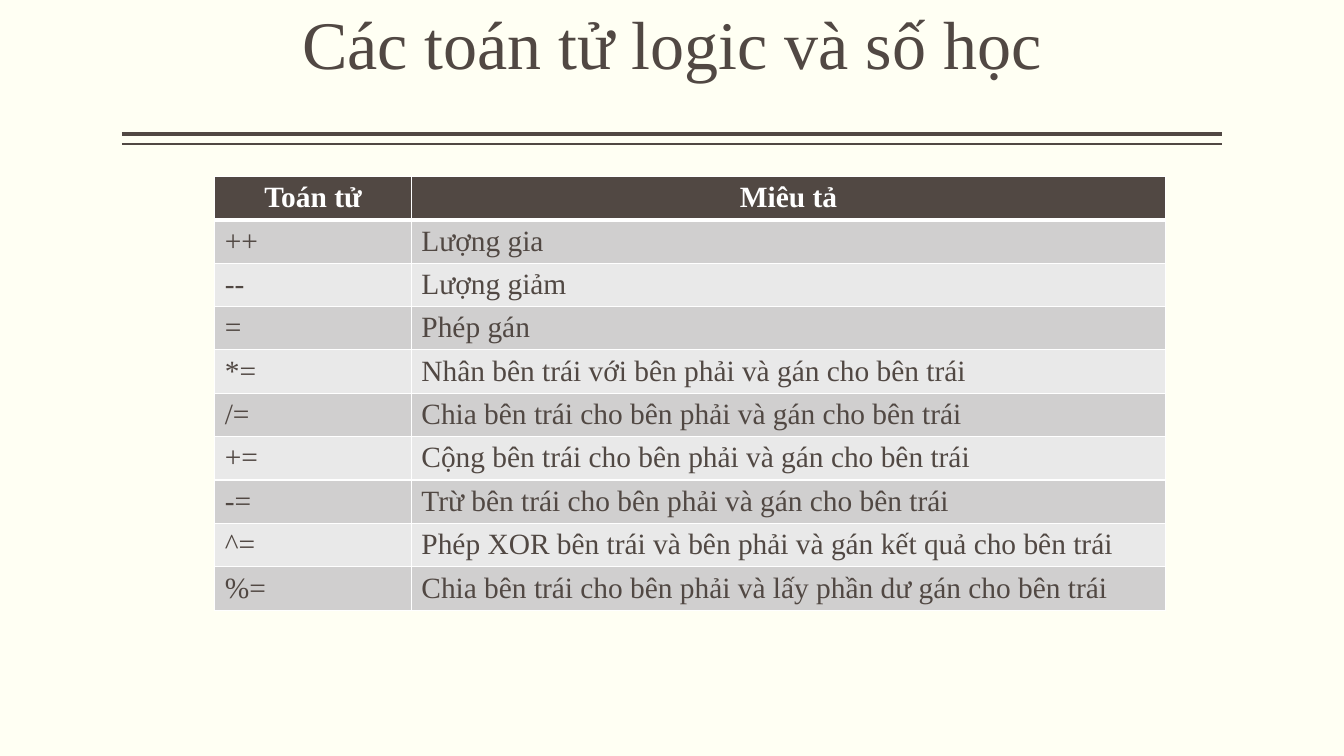
from lxml.etree import SubElement
from pptx import Presentation
from pptx.dml.color import RGBColor
from pptx.enum.shapes import MSO_CONNECTOR as CONNECTOR
from pptx.enum.text import MSO_ANCHOR as ANCHOR, PP_ALIGN as ALIGN
from pptx.oxml.ns import qn
from pptx.util import Inches, Pt

WIDTH, HEIGHT = 13.33, 7.5
MARGIN = 1.21
FONT = "Times New Roman"
BROWN, WHITE, CREAM = "514843", "FFFFFF", "FFFFF3"
BANDS = ("D0CFCF", "E9E9E9")
TABLE_LEFT, TABLE_TOP = 2.13, 1.75
COLUMN_WIDTHS = (1.95, 7.48)
ROW_HEIGHT = 4.25 / 10
OPERATORS = [
    ("Toán tử", "Miêu tả"),
    ("++", "Lượng gia"),
    ("--", "Lượng giảm"),
    ("=", "Phép gán"),
    ("*=", "Nhân bên trái với bên phải và gán cho bên trái"),
    ("/=", "Chia bên trái cho bên phải và gán cho bên trái"),
    ("+=", "Cộng bên trái cho bên phải và gán cho bên trái"),
    ("-=", "Trừ bên trái cho bên phải và gán cho bên trái"),
    ("^=", "Phép XOR bên trái và bên phải và gán kết quả cho bên trái"),
    ("%=", "Chia bên trái cho bên phải và lấy phần dư gán cho bên trái"),
]


def color(hex_code):
    return RGBColor.from_string(hex_code)


def write(paragraph, text, size, hex_code, bold=False, align=ALIGN.LEFT):
    paragraph.alignment = align
    run = paragraph.add_run()
    run.text = text
    run.font.name = FONT
    run.font.size = Pt(size)
    run.font.bold = bold
    run.font.color.rgb = color(hex_code)


def add_title(slide, text):
    title = slide.shapes.add_textbox(
        Inches(MARGIN), Inches(0.08), Inches(WIDTH - 2 * MARGIN), Inches(1.2))
    frame = title.text_frame
    frame.word_wrap = True
    frame.vertical_anchor = ANCHOR.TOP
    frame.margin_left = frame.margin_right = 0
    frame.margin_top = Inches(0.03)
    frame.paragraphs[0].line_spacing = 0.9
    write(frame.paragraphs[0], text, 48.6, BROWN, align=ALIGN.CENTER)


def add_rule(slide, y, weight):
    rule = slide.shapes.add_connector(
        CONNECTOR.STRAIGHT, Inches(MARGIN), Inches(y),
        Inches(WIDTH - MARGIN), Inches(y))
    rule.line.color.rgb = color(BROWN)
    rule.line.width = Pt(weight)
    SubElement(rule._element.spPr, qn("a:effectLst"))


def add_borders(cell, top, bottom):
    """Draw white borders; call before the fill, which must follow them in the XML."""
    properties = cell._tc.get_or_add_tcPr()
    for side, weight in (("L", 1), ("R", 1), ("T", top), ("B", bottom)):
        border = SubElement(properties, qn(f"a:ln{side}"), w=str(Pt(weight)))
        fill = SubElement(border, qn("a:solidFill"))
        SubElement(fill, qn("a:srgbClr"), val=WHITE)


def fill_cell(cell, text, row):
    header = row == 0
    add_borders(cell, top=3 if row == 1 else 1, bottom=3 if header else 1)
    cell.fill.solid()
    cell.fill.fore_color.rgb = color(BROWN if header else BANDS[(row - 1) % 2])
    cell.margin_top, cell.margin_bottom = Inches(0.05), Inches(0.03)
    write(cell.text_frame.paragraphs[0], text, 21, WHITE if header else BROWN,
          bold=header, align=ALIGN.CENTER if header else ALIGN.LEFT)


def add_operator_table(slide):
    table = slide.shapes.add_table(
        len(OPERATORS), len(COLUMN_WIDTHS), Inches(TABLE_LEFT), Inches(TABLE_TOP),
        Inches(sum(COLUMN_WIDTHS)), Inches(ROW_HEIGHT * len(OPERATORS))).table
    for column, width in zip(table.columns, COLUMN_WIDTHS):
        column.width = Inches(width)
    for row, texts in enumerate(OPERATORS):
        table.rows[row].height = Inches(ROW_HEIGHT)
        for column, text in enumerate(texts):
            fill_cell(table.cell(row, column), text, row)


def main():
    deck = Presentation()
    deck.slide_width, deck.slide_height = Inches(WIDTH), Inches(HEIGHT)
    slide = deck.slides.add_slide(deck.slide_layouts[6])
    slide.background.fill.solid()
    slide.background.fill.fore_color.rgb = color(CREAM)
    add_rule(slide, 1.33, 3)
    add_rule(slide, 1.43, 1)
    add_title(slide, "Các toán tử logic và số học")
    add_operator_table(slide)
    deck.save("out.pptx")


if __name__ == "__main__":
    main()
